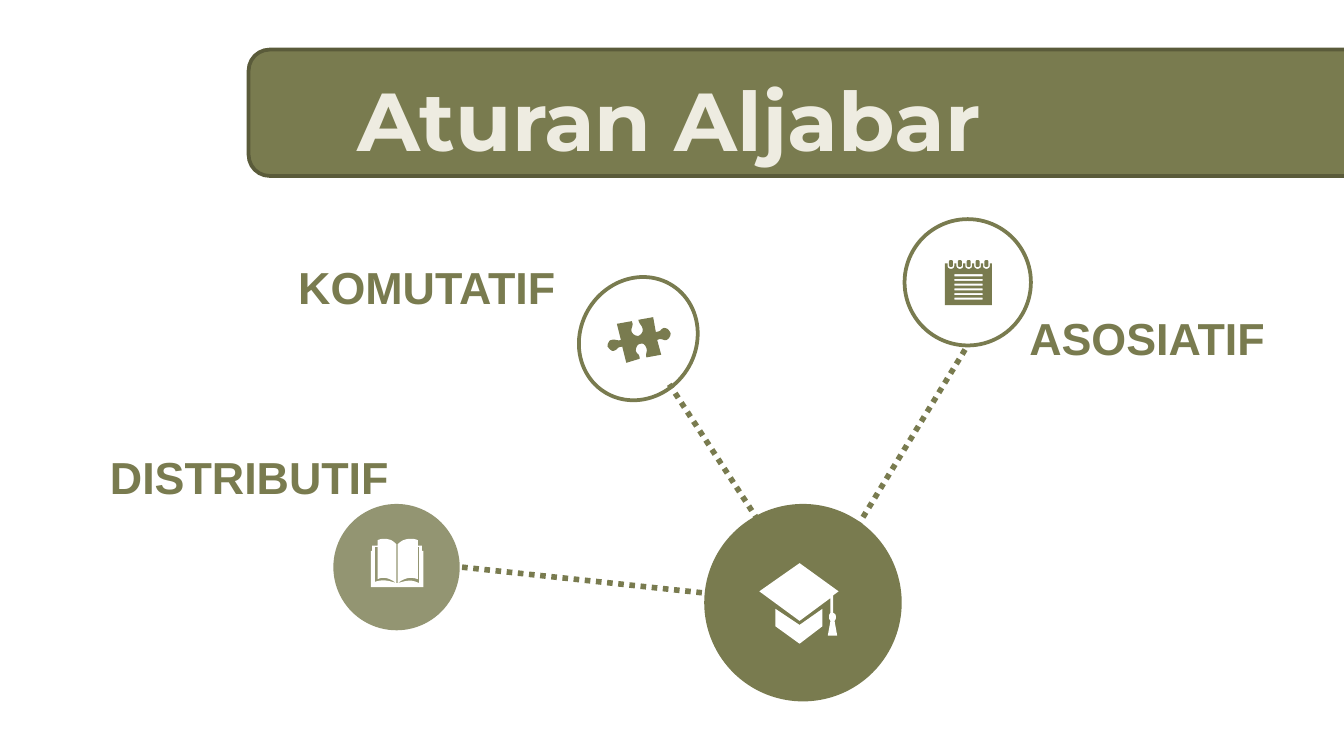
from dataclasses import dataclass
from typing import Optional

from lxml.etree import SubElement
from pptx import Presentation
from pptx.dml.color import RGBColor
from pptx.enum.dml import MSO_LINE
from pptx.enum.shapes import MSO_CONNECTOR, MSO_SHAPE
from pptx.enum.text import MSO_ANCHOR, MSO_AUTO_SIZE, PP_ALIGN
from pptx.oxml.ns import qn
from pptx.util import Pt

OLIVE = RGBColor(0x79, 0x7B, 0x4F)
DARK = RGBColor(0x5A, 0x5B, 0x3A)
CREAM = RGBColor(0xEE, 0xEC, 0xE1)
WHITE = RGBColor(0xFF, 0xFF, 0xFF)


@dataclass
class Disc:
    left: float
    top: float
    width: float
    height: float
    filled: bool = True
    alpha: int = 100
    turn: float = 0


@dataclass
class Link:
    x1: float
    y1: float
    x2: float
    y2: float


@dataclass
class Label:
    text: str
    left: float
    top: float
    width: float


@dataclass
class Icon:
    left: float
    top: float
    color: RGBColor
    loops: list  # pairs are corners, sixes are Bezier curves; unit 0.72 pt


def paint(shape, fill: Optional[RGBColor], line: Optional[RGBColor]) -> None:
    shape.shadow.inherit = False
    if fill is None:
        shape.fill.background()
    else:
        shape.fill.solid()
        shape.fill.fore_color.rgb = fill
    if line is None:
        shape.line.fill.background()
    else:
        shape.line.color.rgb = line
        shape.line.width = Pt(2)


def draw_disc(slide, disc: Disc) -> None:
    shape = slide.shapes.add_shape(MSO_SHAPE.OVAL, Pt(disc.left), Pt(disc.top),
                                   Pt(disc.width), Pt(disc.height))
    shape.rotation = disc.turn
    paint(shape, OLIVE if disc.filled else None, None if disc.filled else OLIVE)
    if disc.alpha < 100:
        color = shape.element.spPr.find(qn("a:solidFill"))[0]
        SubElement(color, qn("a:alpha")).set("val", str(disc.alpha * 1000))


def draw_link(slide, link: Link) -> None:
    line = slide.shapes.add_connector(MSO_CONNECTOR.STRAIGHT, Pt(link.x1), Pt(link.y1),
                                      Pt(link.x2), Pt(link.y2))
    line.line.color.rgb = OLIVE
    line.line.width = Pt(3)
    line.line.dash_style = MSO_LINE.ROUND_DOT
    SubElement(line.element.spPr, qn("a:effectLst"))


def draw_label(slide, label: Label) -> None:
    frame = slide.shapes.add_textbox(Pt(label.left), Pt(label.top),
                                     Pt(label.width), Pt(36)).text_frame
    frame.word_wrap = True
    frame.vertical_anchor = MSO_ANCHOR.MIDDLE
    para = frame.paragraphs[0]
    para.text = label.text
    para.alignment = PP_ALIGN.RIGHT
    style(para.font, "Arial", 24, OLIVE)


def style(font, name: str, size: float, color: RGBColor) -> None:
    font.name, font.size, font.bold = name, Pt(size), True
    font.color.rgb = color


def flatten(loop: list, steps: int = 6) -> list:
    points = [loop[0]]
    for part in loop[1:]:
        if len(part) == 2:
            points.append(part)
            continue
        nodes = [points[-1], part[:2], part[2:4], part[4:]]
        for step in range(1, steps + 1):
            t = step / steps
            weights = ((1 - t) ** 3, 3 * t * (1 - t) ** 2, 3 * t * t * (1 - t), t ** 3)
            points.append(tuple(sum(w * n[axis] for w, n in zip(weights, nodes))
                                for axis in (0, 1)))
    return [(10 * x, 10 * y) for x, y in points]


def draw_icon(slide, icon: Icon) -> None:
    pen = None
    for loop in icon.loops:
        first, *rest = flatten(loop)
        if pen is None:
            pen = slide.shapes.build_freeform(*first, scale=Pt(0.072))
        else:
            pen.move_to(*first)
        pen.add_line_segments(rest, close=True)
    paint(pen.convert_to_shape(Pt(icon.left), Pt(icon.top)), icon.color, None)


def pad_loops() -> list:
    rings = [4.5 + 6.6 * i for i in range(5)]
    page = [(0, 3)]
    for c in rings:
        page += [(c - 2.5, 3), (c - 2.5, 5), (c - 2.5, 6, c - 1.5, 7, c, 7),
                 (c + 1.5, 7, c + 2.5, 6, c + 2.5, 5), (c + 2.5, 3)]
    page += [(35, 3), (35, 34), (0, 34)]
    rules = [[(7, y), (7, y + 1.5), (28, y + 1.5), (28, y)]
             for y in (11 + 3.5 * i for i in range(6))]
    coils = [[(c - 1.5, 1.5), (c - 1.5, 0, c + 1.5, 0, c + 1.5, 1.5),
              (c + 1.5, 4.5), (c + 1.5, 6, c - 1.5, 6, c - 1.5, 4.5)] for c in rings]
    return [page] + rules + coils


CAP = [
    [(12, 34), (30, 46), (47, 34), (47, 47), (30, 60), (12, 47)],
    [(30, 0), (59, 21), (55, 24), (55, 37), (57, 38, 57, 39, 57, 40),
     (57, 41, 57, 42, 56, 43), (58, 54), (51, 54), (53, 43), (52, 42, 52, 41, 52, 40),
     (52, 39, 52, 38, 53, 37), (53, 26), (30, 43), (0, 21)],
]
PUZZLE = [[
    (49, 18), (49, 20, 48, 22, 46, 23), (44, 24, 42, 21, 39, 23), (42, 34), (31, 36),
    (30, 33, 32, 32, 31, 29), (30, 26, 28, 25, 26, 26), (25, 26, 23, 28, 23, 31),
    (24, 34, 26, 33, 26, 37), (16, 40), (13, 28), (9, 28, 10, 30, 7, 31),
    (5, 32, 3, 29, 2, 28), (2, 26, 3, 23, 5, 23), (8, 22, 9, 24, 12, 23), (9, 11),
    (20, 9), (22, 12, 19, 14, 20, 17), (21, 19, 23, 20, 25, 20), (27, 19, 29, 17, 28, 14),
    (27, 11, 26, 12, 25, 8), (36, 6), (38, 17), (42, 17, 41, 15, 44, 14),
    (47, 14, 48, 16, 49, 18),
]]
BOOK = [[
    (19, 33), (20, 33), (27, 31, 30, 30, 36, 33), (36, 6), (35, 6), (35, 30),
    (30, 28, 25, 29, 20, 33), (20, 4), (23, 1, 26, 0, 29, 0), (31, 0, 33, 0, 35, 1),
    (35, 5), (38, 5), (38, 9), (39, 9), (39, 36), (0, 36), (0, 9), (1, 9), (1, 5), (5, 5),
    (5, 1), (7, 0, 9, 0, 10, 0), (14, 0, 16, 1, 19, 4), (19, 33), (14, 29, 9, 28, 5, 30),
    (5, 6), (3, 6), (3, 32), (9, 30, 13, 31, 19, 33),
]]

LINKS = [Link(434.2, 323.3, 518.4, 185), Link(429.8, 323.3, 247, 303.8),
         Link(412.6, 288.7, 358.6, 205.9)]
DISCS = [Disc(377.3, 270, 105.8, 105.8), Disc(178.6, 270, 67.7, 67.7, alpha=80),
         Disc(484.6, 117.4, 67.7, 67.7, filled=False),
         Disc(311, 147.6, 61.9, 67.7, filled=False, turn=33)]
ICONS = [Icon(406.8, 301.7, WHITE, CAP), Icon(506.2, 139, OLIVE, pad_loops()),
         Icon(324, 165.6, OLIVE, PUZZLE), Icon(198.7, 288.7, WHITE, BOOK)]
LABELS = [Label("KOMUTATIF", 107.3, 135.4, 197.3), Label("ASOSIATIF", 469.4, 162.7, 215.3),
          Label("DISTRIBUTIF", 0, 237.6, 215.3)]

deck = Presentation()
deck.slide_width, deck.slide_height = Pt(720), Pt(405)
slide = deck.slides.add_slide(deck.slide_layouts[5])

# Title on its banner
title = slide.shapes.title
title.left, title.top, title.width, title.height = Pt(184.3), Pt(33.5), Pt(535.7), Pt(45.4)
frame = title.text_frame
frame.auto_size = MSO_AUTO_SIZE.NONE
frame.vertical_anchor = MSO_ANCHOR.TOP
head = frame.paragraphs[0]
head.text = "Aturan Aljabar"
head.alignment = PP_ALIGN.LEFT
style(head.font, "Montserrat", 44, CREAM)
banner = slide.shapes.add_shape(MSO_SHAPE.ROUNDED_RECTANGLE, Pt(133.2), Pt(26.6),
                                Pt(612), Pt(67.7))
paint(banner, OLIVE, DARK)
title.element.addprevious(banner.element)

# Hub with its three rules
for items, draw in ((LINKS, draw_link), (DISCS, draw_disc),
                    (ICONS, draw_icon), (LABELS, draw_label)):
    for item in items:
        draw(slide, item)

deck.save("out.pptx")
